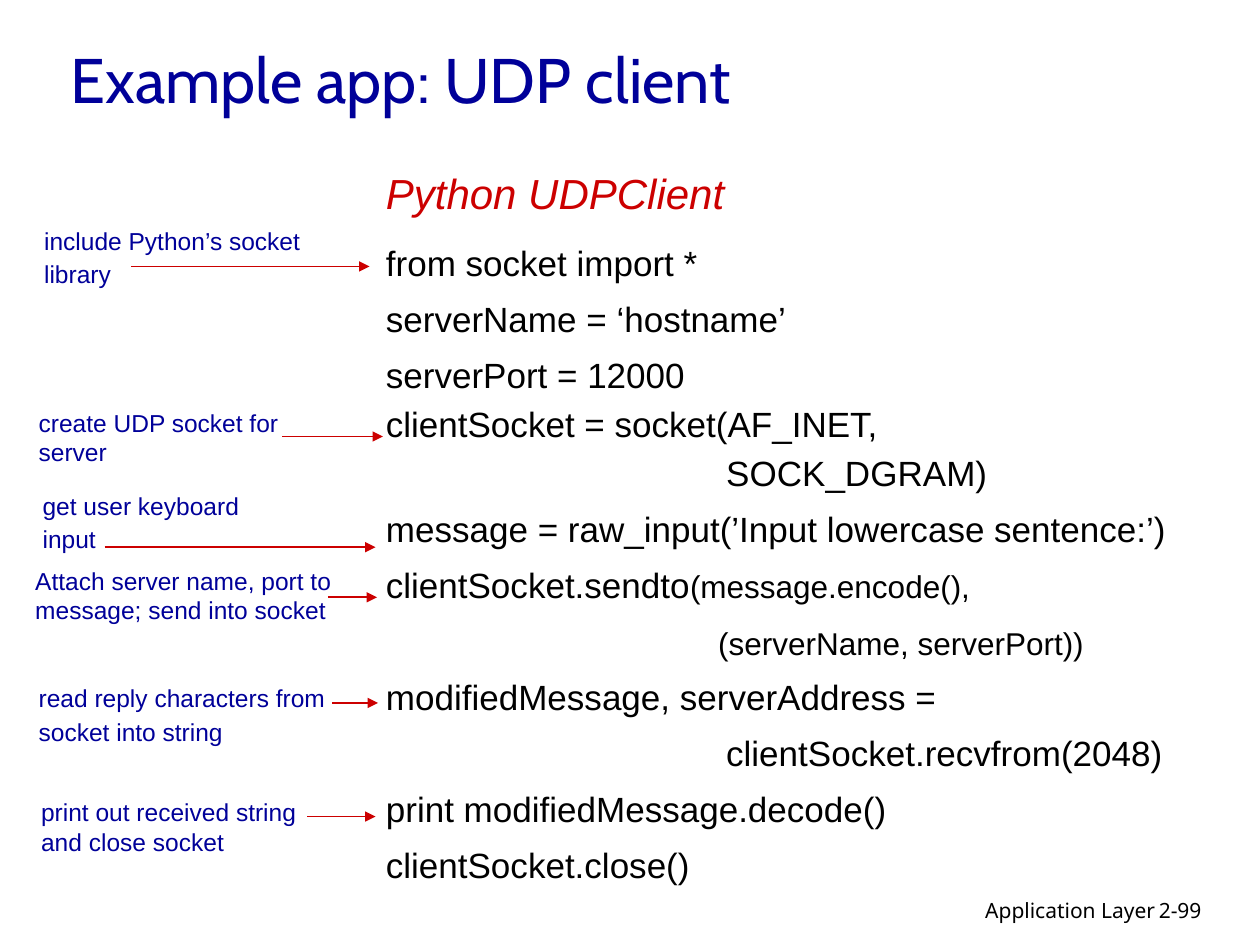
from lxml import etree
from pptx import Presentation
from pptx import util as u
from pptx.dml.color import RGBColor
from pptx.enum import shapes, text
from pptx.oxml import ns

NAVY = RGBColor(0x00, 0x00, 0x99)
RED = RGBColor(0xCC, 0x00, 0x00)
BLACK = RGBColor(0x00, 0x00, 0x00)

# Each line of code: spans as (text, size), indent in cm, line spacing in points
CODE = [
    ([("from socket import *", 20)], 0, 28),
    ([("serverName = ‘hostname’", 20)], 0, 28),
    ([("serverPort = 12000", 20)], 0, 28),
    ([("clientSocket = socket(AF_INET,", 20)], 0, 24),
    ([("SOCK_DGRAM)", 20)], 6.86, 24),
    ([("message = raw_input(’Input lowercase sentence:’)", 20)], 0, 28),
    ([("clientSocket.sendto", 20), ("(message.encode(),", 18)], 0, 28),
    ([("(serverName, serverPort))", 18)], 6.7, 28),
    ([("modifiedMessage, serverAddress =", 20)], 0, 28),
    ([("clientSocket.recvfrom(2048)", 20)], 6.86, 28),
    ([("print modifiedMessage.decode()", 20)], 0, 28),
    ([("clientSocket.close()", 20)], 0, 28),
]

# Each note: paragraphs, box in cm, arrow (start, end, height) in the box, spacing
NOTES = [
    (["include Python’s socket", "library"],
     (0.64, 4.47, 5.72, 1.52), (2.01, 6.81, 0.9), 16),
    (["create UDP socket for server"],
     (0.53, 8.1, 6.3, 1.45), (5.16, 7.19, 0.7), None),
    (["get user keyboard", "input"],
     (0.61, 9.8, 4.5, 1.52), (1.5, 6.96, 1.23), 16),
    (["Attach server name, port to message; send into socket"],
     (0.46, 11.28, 6.53, 1.45), (6.15, 7.14, 0.76), None),
    (["read reply characters from", "socket into string"],
     (0.53, 13.64, 6.53, 1.57), (6.17, 7.09, 0.53), None),
    (["print out received string and close socket"],
     (0.58, 15.95, 6.53, 1.45), (5.61, 6.99, 0.51), None),
]


def style(span, size, color, font="Arial", italic=None):
    """Format one run."""
    span.font.name = font
    span.font.size = u.Pt(size)
    span.font.color.rgb = color
    span.font.italic = italic


def add_text(parent, box, lines, size, color, font="Arial", italic=None,
             before=0, spacing=None, align=None):
    """Add a text box whose paragraphs share one format."""
    frame = parent.add_textbox(*(u.Cm(v) for v in box)).text_frame
    frame.word_wrap = True
    frame.text = "\n".join(lines)
    for para in frame.paragraphs:
        para.space_before = u.Pt(before)
        para.alignment = align
        if spacing:
            para.line_spacing = u.Pt(spacing)
        for span in para.runs:
            style(span, size, color, font, italic)
    return frame


def add_arrow(parent, left, right, top):
    """Add a level red arrow pointing right."""
    arrow = parent.add_connector(shapes.MSO_CONNECTOR.STRAIGHT,
                                 u.Cm(left), u.Cm(top), u.Cm(right), u.Cm(top))
    arrow.line.color.rgb = RED
    arrow.line.width = u.Pt(1)
    etree.SubElement(arrow.line._get_or_add_ln(), ns.qn("a:tailEnd"), type="triangle")
    etree.SubElement(arrow._element.spPr, ns.qn("a:effectLst"))


def add_title(page, box):
    """Place and format the title placeholder."""
    title = page.shapes.title
    title.left, title.top, title.width, title.height = (u.Cm(v) for v in box)
    frame = title.text_frame
    frame.text = "Example app: UDP client"
    frame.vertical_anchor = text.MSO_ANCHOR.MIDDLE
    para = frame.paragraphs[0]
    para.alignment = text.PP_ALIGN.LEFT
    style(para.runs[0], 36, NAVY, "Cabin")


def add_code(page, box):
    """Add the heading and the program listing below it."""
    left, top, width, height = box
    add_text(page.shapes, (left, top, 7.62, 1.3), ["Python UDPClient"],
             24, RED, italic=True, before=4.8)
    listing = add_text(page.shapes, (left, top + 1.35, width, height - 1.35),
                       [""] * len(CODE), 20, BLACK, before=4)
    for para, (spans, indent, spacing) in zip(listing.paragraphs, CODE):
        para.line_spacing = u.Pt(spacing)
        para._p.get_or_add_pPr().set("marL", str(u.Cm(indent)))
        for words, size in spans:
            span = para.add_run()
            span.text = words
            style(span, size, BLACK)


def add_note(page, box, lines, arrow, spacing):
    """Add a grouped margin note with its arrow to the code."""
    note = page.shapes.add_group_shape().shapes
    add_text(note, box, lines, 14, NAVY, before=2.8, spacing=spacing)
    start, end, height = arrow
    add_arrow(note, box[0] + start, box[0] + end, box[1] + height)


def add_footer(page, box):
    """Add the chapter name and the page number."""
    left, top, width, height = box
    number_width = 1.88
    add_text(page.shapes, (left, top, 8.05, height), ["Application Layer"],
             12, BLACK, "Noto Sans", align=text.PP_ALIGN.RIGHT)
    add_text(page.shapes, (left + width - number_width, top, number_width, height),
             ["2-99"], 12, BLACK, "Noto Sans")


deck = Presentation()
deck.slide_width, deck.slide_height = u.Cm(25.4), u.Cm(19.05)
page = deck.slides.add_slide(deck.slide_layouts[5])
add_title(page, (1.17, 0.25, 21.59, 2.64))
add_code(page, (7.53, 3.25, 16.38, 15.14))
for lines, box, arrow, spacing in NOTES:
    add_note(page, box, lines, arrow, spacing)
add_footer(page, (15.49, 17.96, 9.5, 0.78))
deck.save("out.pptx")
